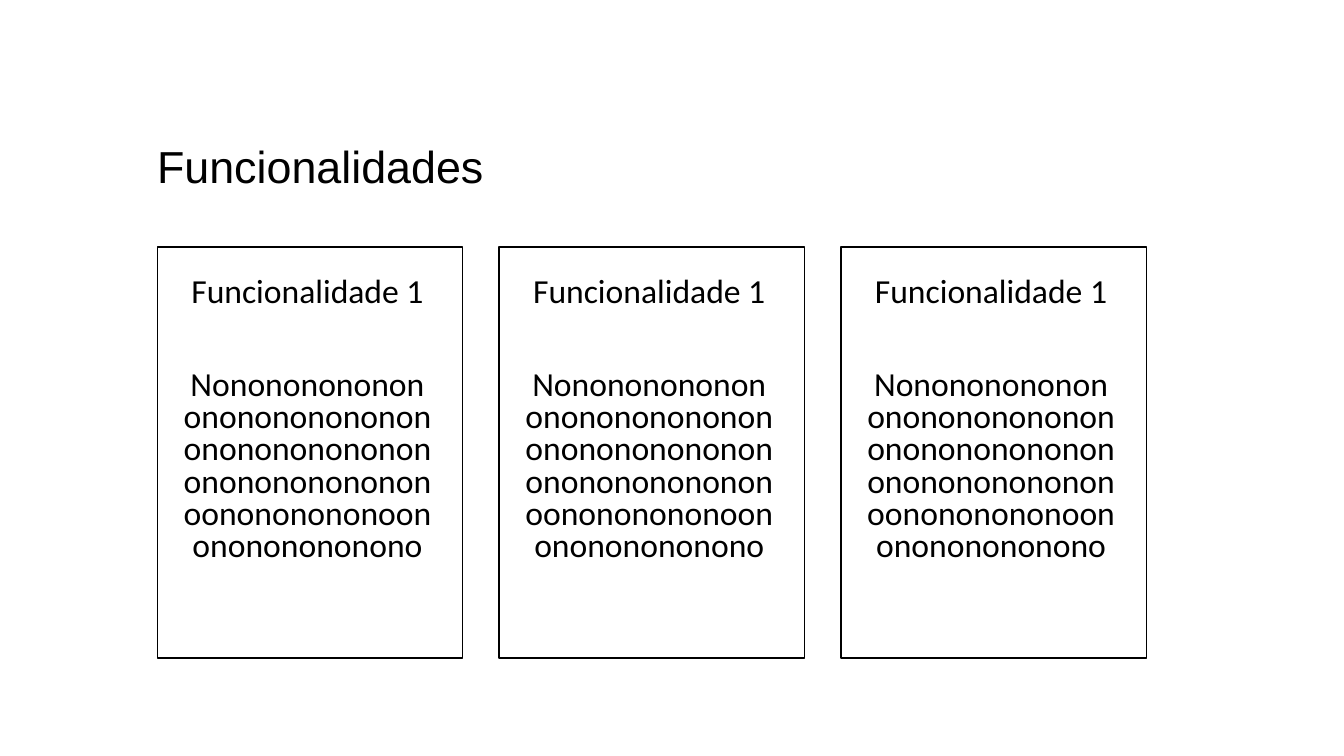
from dataclasses import dataclass

from pptx import Presentation
from pptx.dml.color import RGBColor
from pptx.enum.shapes import MSO_SHAPE
from pptx.enum.text import MSO_ANCHOR, PP_ALIGN
from pptx.slide import Slide
from pptx.text.text import TextFrame
from pptx.util import Emu, Pt

PX = 9144
BLACK = RGBColor(0x00, 0x00, 0x00)
WHITE = RGBColor(0xFF, 0xFF, 0xFF)


@dataclass(frozen=True)
class Box:
    left: int
    top: int
    width: int
    height: int

    def emu(self) -> tuple[Emu, Emu, Emu, Emu]:
        return (Emu(self.left * PX), Emu(self.top * PX),
                Emu(self.width * PX), Emu(self.height * PX))


@dataclass(frozen=True)
class Feature:
    heading: str
    description: str


TITLE_BOX = Box(146, 119, 474, 78)
FIRST_CARD = Box(156, 245, 303, 408)
CARD_PITCH = 339
INSET_X, INSET_TOP = 16, 26
CONTENT_WIDTH, CONTENT_HEIGHT = 266, 354
FEATURES = [
    Feature(
        "Funcionalidade 1",
        "Nonononononononononononononononononononononononononononoonononononoononononononono",
    )
] * 3


def add_text(slide: Slide, box: Box, paragraphs: list[str], font: str, size: int,
             line_spacing: float) -> TextFrame:
    frame = slide.shapes.add_textbox(*box.emu()).text_frame
    frame.word_wrap = True
    frame.text = "\n".join(paragraphs)
    for paragraph in frame.paragraphs:
        paragraph.line_spacing = line_spacing
        for run in paragraph.runs:
            run.font.name = font
            run.font.size = Pt(size)
            run.font.color.rgb = BLACK
    return frame


def add_card(slide: Slide, box: Box, feature: Feature) -> None:
    card = slide.shapes.add_shape(MSO_SHAPE.RECTANGLE, *box.emu())
    card.shadow.inherit = False
    card.fill.solid()
    card.fill.fore_color.rgb = WHITE
    card.line.color.rgb = BLACK
    card.line.width = Pt(1)

    content_box = Box(box.left + INSET_X, box.top + INSET_TOP, CONTENT_WIDTH, CONTENT_HEIGHT)
    content = add_text(slide, content_box, [feature.heading, feature.description],
                       "Calibri", 24, 0.8)
    for paragraph, space_before in zip(content.paragraphs, (10, 43)):
        paragraph.alignment = PP_ALIGN.CENTER
        paragraph.space_before = Pt(space_before)


def main() -> None:
    presentation = Presentation()
    presentation.slide_width = Emu(1333 * PX)
    presentation.slide_height = Emu(750 * PX)
    slide = presentation.slides.add_slide(presentation.slide_layouts[6])

    title = add_text(slide, TITLE_BOX, ["Funcionalidades"], "Arial", 32, 0.9)
    title.vertical_anchor = MSO_ANCHOR.BOTTOM

    for column, feature in enumerate(FEATURES):
        card_box = Box(FIRST_CARD.left + column * CARD_PITCH, FIRST_CARD.top,
                       FIRST_CARD.width, FIRST_CARD.height)
        add_card(slide, card_box, feature)

    presentation.save("out.pptx")


if __name__ == "__main__":
    main()
